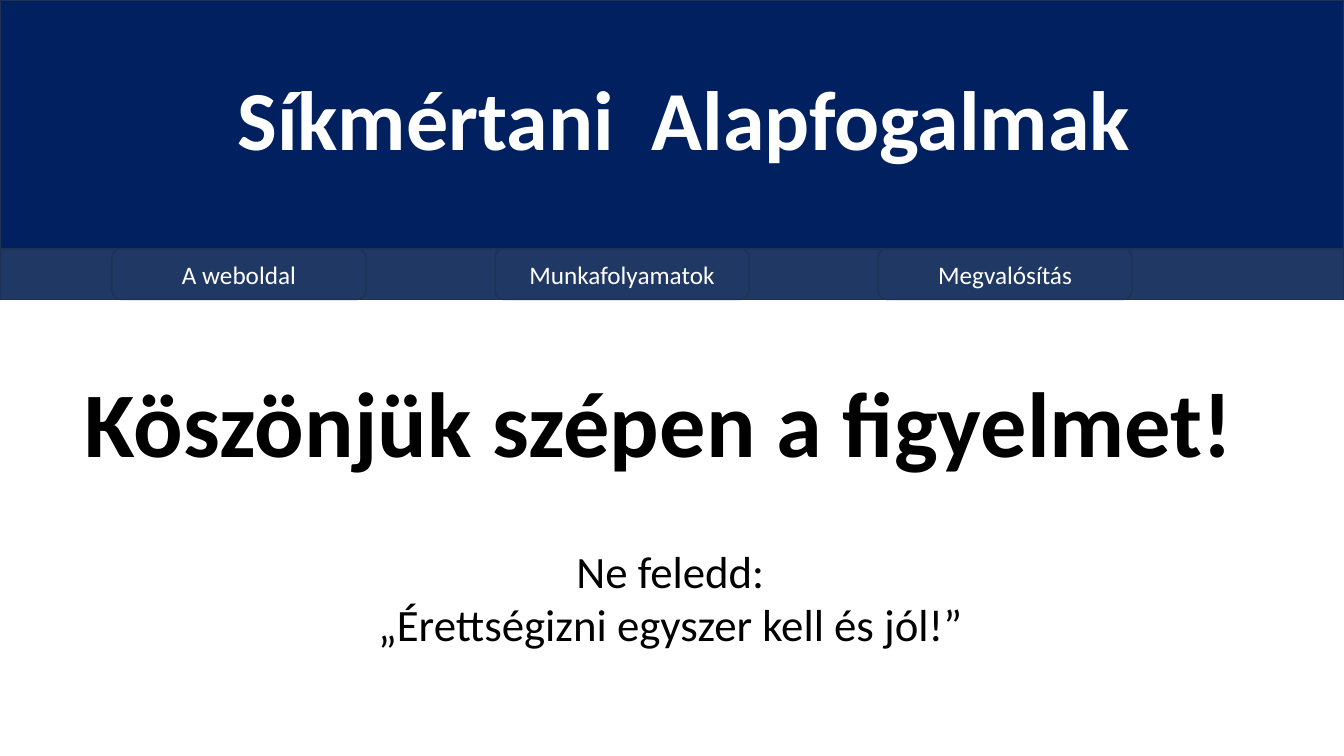
from dataclasses import dataclass

from pptx import Presentation
from pptx.dml.color import RGBColor
from pptx.enum.shapes import MSO_SHAPE
from pptx.enum.text import MSO_ANCHOR, MSO_AUTO_SIZE, PP_ALIGN
from pptx.slide import Slide
from pptx.util import Inches, Pt

NAVY = RGBColor(0x00, 0x20, 0x60)
SLATE = RGBColor(0x20, 0x38, 0x64)
EDGE = RGBColor(0x1E, 0x32, 0x56)
WHITE = RGBColor(0xFF, 0xFF, 0xFF)
BLACK = RGBColor(0x00, 0x00, 0x00)

WIDTH, HEIGHT = Inches(13.33), Inches(7.5)
BANNER_HEIGHT, MENU_HEIGHT = 32.93, 6.67
MENU_LEFT, MENU_PITCH, MENU_WIDTH = 8.33, 28.5, 18.9
MENU = ["A weboldal", "Munkafolyamatok", "Megvalósítás"]


@dataclass
class Page:
    """Draws styled elements on a slide, placed in percent of its size."""

    slide: Slide
    font: str = "Calibri"
    edge: RGBColor = EDGE

    def place(self, left, top, width, height):
        return (round(WIDTH * left / 100), round(HEIGHT * top / 100),
                round(WIDTH * width / 100), round(HEIGHT * height / 100))

    def set_text(self, frame, text, size, color, bold=False):
        frame.text = text
        frame.word_wrap = True
        for paragraph in frame.paragraphs:
            paragraph.alignment = PP_ALIGN.CENTER
            for run in paragraph.runs:
                run.font.name = self.font
                run.font.size = Pt(size)
                run.font.bold = bold
                run.font.color.rgb = color

    def panel(self, area, kind=MSO_SHAPE.RECTANGLE, fill=None):
        panel = self.slide.shapes.add_shape(kind, *self.place(*area))
        panel.shadow.inherit = False
        if fill is None:
            panel.fill.background()
        else:
            panel.fill.solid()
            panel.fill.fore_color.rgb = fill
        panel.line.color.rgb = self.edge
        panel.line.width = Pt(1)
        return panel

    def button(self, area, label):
        button = self.panel(area, MSO_SHAPE.ROUNDED_RECTANGLE)
        button.text_frame.vertical_anchor = MSO_ANCHOR.MIDDLE
        self.set_text(button.text_frame, label, 18, WHITE)

    def caption(self, area, text, size, color, bold=False):
        frame = self.slide.shapes.add_textbox(*self.place(*area)).text_frame
        self.set_text(frame, text, size, color, bold)
        frame.auto_size = MSO_AUTO_SIZE.SHAPE_TO_FIT_TEXT


def main():
    deck = Presentation()
    deck.slide_width, deck.slide_height = WIDTH, HEIGHT
    page = Page(deck.slides.add_slide(deck.slide_layouts[6]))

    page.panel((0, 0, 100, BANNER_HEIGHT), fill=NAVY)
    page.caption((16.73, 8.13, 68.34, 14.8),
                 "Síkmértani  Alapfogalmak", 60, WHITE, bold=True)

    page.panel((0, BANNER_HEIGHT, 100, MENU_HEIGHT), fill=SLATE)
    for column, label in enumerate(MENU):
        left = MENU_LEFT + column * MENU_PITCH
        page.button((left, BANNER_HEIGHT, MENU_WIDTH, MENU_HEIGHT), label)

    page.caption((4.65, 47.6, 88.82, 16.13),
                 "Köszönjük szépen a figyelmet!", 66, BLACK, bold=True)
    page.caption((5.25, 71.2, 89.27, 15.73),
                 "Ne feledd:\n„Érettségizni egyszer kell és jól!”", 32, BLACK)

    deck.save("out.pptx")


if __name__ == "__main__":
    main()
